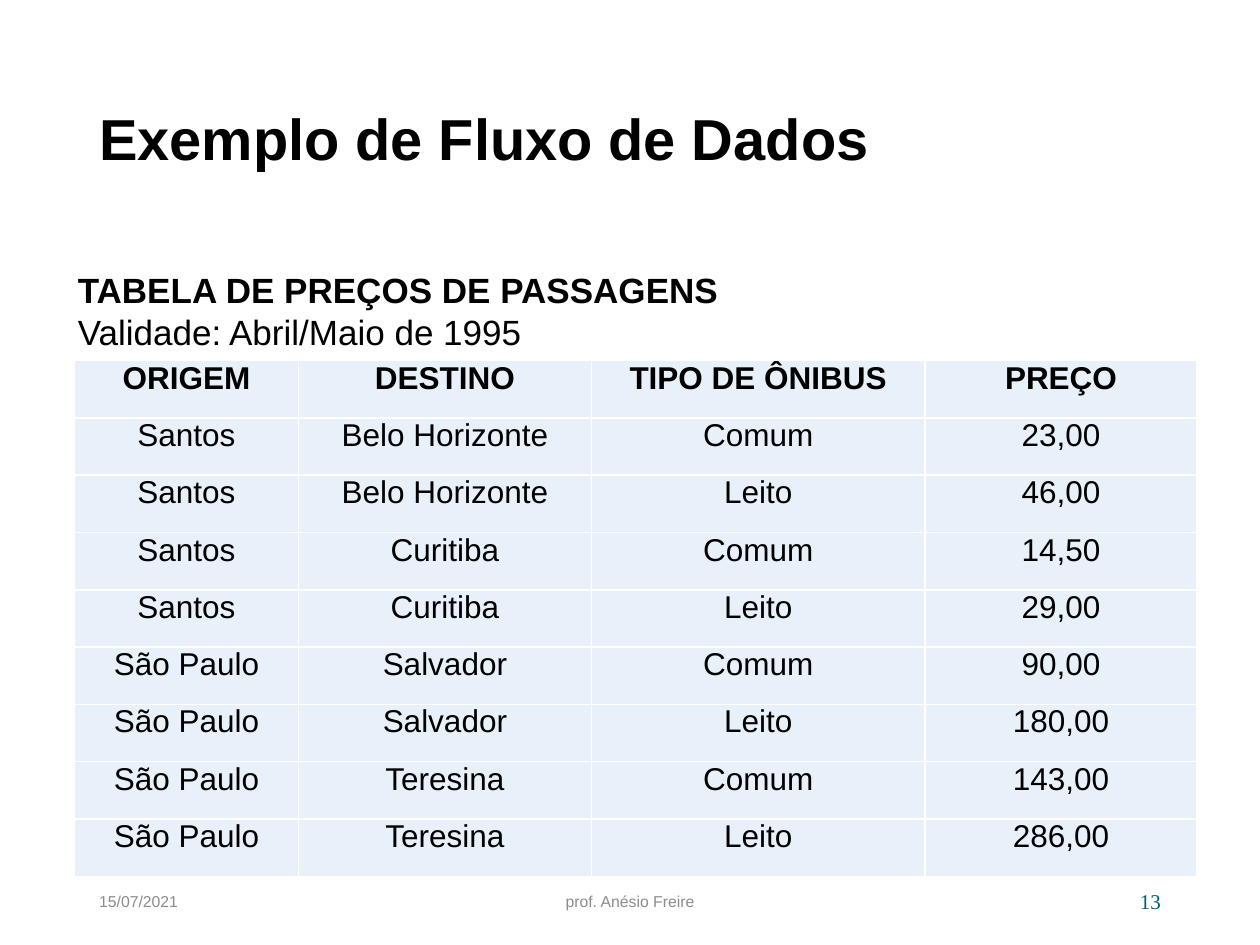
import lxml.etree
import pptx
import pptx.dml.color
import pptx.enum.text
import pptx.oxml.ns
import pptx.util
from pptx.util import Cm

BLACK = pptx.dml.color.RGBColor(0x00, 0x00, 0x00)
WHITE = pptx.dml.color.RGBColor(0xFF, 0xFF, 0xFF)
GRAY = pptx.dml.color.RGBColor(0x8C, 0x8C, 0x8C)
TEAL = pptx.dml.color.RGBColor(0x04, 0x5C, 0x75)
PALE_BLUE = pptx.dml.color.RGBColor(0xE8, 0xF1, 0xFA)
LEFT = pptx.enum.text.PP_ALIGN.LEFT
CENTER = pptx.enum.text.PP_ALIGN.CENTER
RIGHT = pptx.enum.text.PP_ALIGN.RIGHT


def style_paragraph(paragraph, size, color=BLACK, bold=False, align=LEFT, font="Arial"):
    paragraph.alignment = align
    paragraph.font.name = font
    paragraph.font.size = pptx.util.Pt(size)
    paragraph.font.bold = bold
    paragraph.font.color.rgb = color


def add_text(left, top, width, height, text):
    """Add a wrapping, vertically centred text box and return its text frame."""
    box = slide.shapes.add_textbox(Cm(left), Cm(top), Cm(width), Cm(height))
    frame = box.text_frame
    frame.word_wrap = True
    frame.vertical_anchor = pptx.enum.text.MSO_ANCHOR.MIDDLE
    frame.text = text
    return frame


presentation = pptx.Presentation()
presentation.slide_width = Cm(25.4)
presentation.slide_height = Cm(19.05)
slide = presentation.slides.add_slide(presentation.slide_layouts[6])

title = add_text(1.75, 1.02, 21.9, 3.68, "Exemplo de Fluxo de Dados").paragraphs[0]
title.line_spacing = 0.9
style_paragraph(title, 33, bold=True)

footers = [
    (1.75, 5.72, "15/07/2021", 9, GRAY, LEFT, "Arial"),
    (8.41, 8.58, "prof. Anésio Freire", 9, GRAY, CENTER, "Arial"),
    (17.93, 5.72, "13", 12, TEAL, RIGHT, "Times New Roman"),
]
for left, width, text, size, color, align, font in footers:
    frame = add_text(left, 17.65, width, 1.02, text)
    style_paragraph(frame.paragraphs[0], size, color, align=align, font=font)

fares = [
    ("ORIGEM", "DESTINO", "TIPO DE ÔNIBUS", "PREÇO"),
    ("Santos", "Belo Horizonte", "Comum", "23,00"),
    ("Santos", "Belo Horizonte", "Leito", "46,00"),
    ("Santos", "Curitiba", "Comum", "14,50"),
    ("Santos", "Curitiba", "Leito", "29,00"),
    ("São Paulo", "Salvador", "Comum", "90,00"),
    ("São Paulo", "Salvador", "Leito", "180,00"),
    ("São Paulo", "Teresina", "Comum", "143,00"),
    ("São Paulo", "Teresina", "Leito", "286,00"),
]
column_widths = [4.52, 5.9, 6.73, 5.48]
table = slide.shapes.add_table(
    len(fares), len(column_widths), Cm(1.5), Cm(7.27), Cm(sum(column_widths)), Cm(10.4)
).table
table.first_row = False
table.horz_banding = False
for column, width in zip(table.columns, column_widths):
    column.width = Cm(width)

for row_index, fare in enumerate(fares):
    for column_index, text in enumerate(fare):
        cell = table.cell(row_index, column_index)
        cell.text = text
        cell.margin_left = cell.margin_right = Cm(0.18)
        cell.margin_top = cell.margin_bottom = 0
        style_paragraph(cell.text_frame.paragraphs[0], 18, bold=row_index == 0, align=CENTER)
        properties = cell._tc.get_or_add_tcPr()
        for side in ("a:lnL", "a:lnR", "a:lnT", "a:lnB"):
            border = lxml.etree.SubElement(
                properties, pptx.oxml.ns.qn(side), w=str(pptx.util.Pt(1))
            )
            border_fill = lxml.etree.SubElement(border, pptx.oxml.ns.qn("a:solidFill"))
            lxml.etree.SubElement(border_fill, pptx.oxml.ns.qn("a:srgbClr"), val=str(WHITE))
        cell.fill.solid()
        cell.fill.fore_color.rgb = PALE_BLUE

caption = add_text(
    1.32, 5.28, 14.55, 1.96, "TABELA DE PREÇOS DE PASSAGENS\nValidade: Abril/Maio de 1995"
)
caption.auto_size = pptx.enum.text.MSO_AUTO_SIZE.SHAPE_TO_FIT_TEXT
for paragraph, bold in zip(caption.paragraphs, (True, False)):
    style_paragraph(paragraph, 20, bold=bold)

presentation.save("out.pptx")
